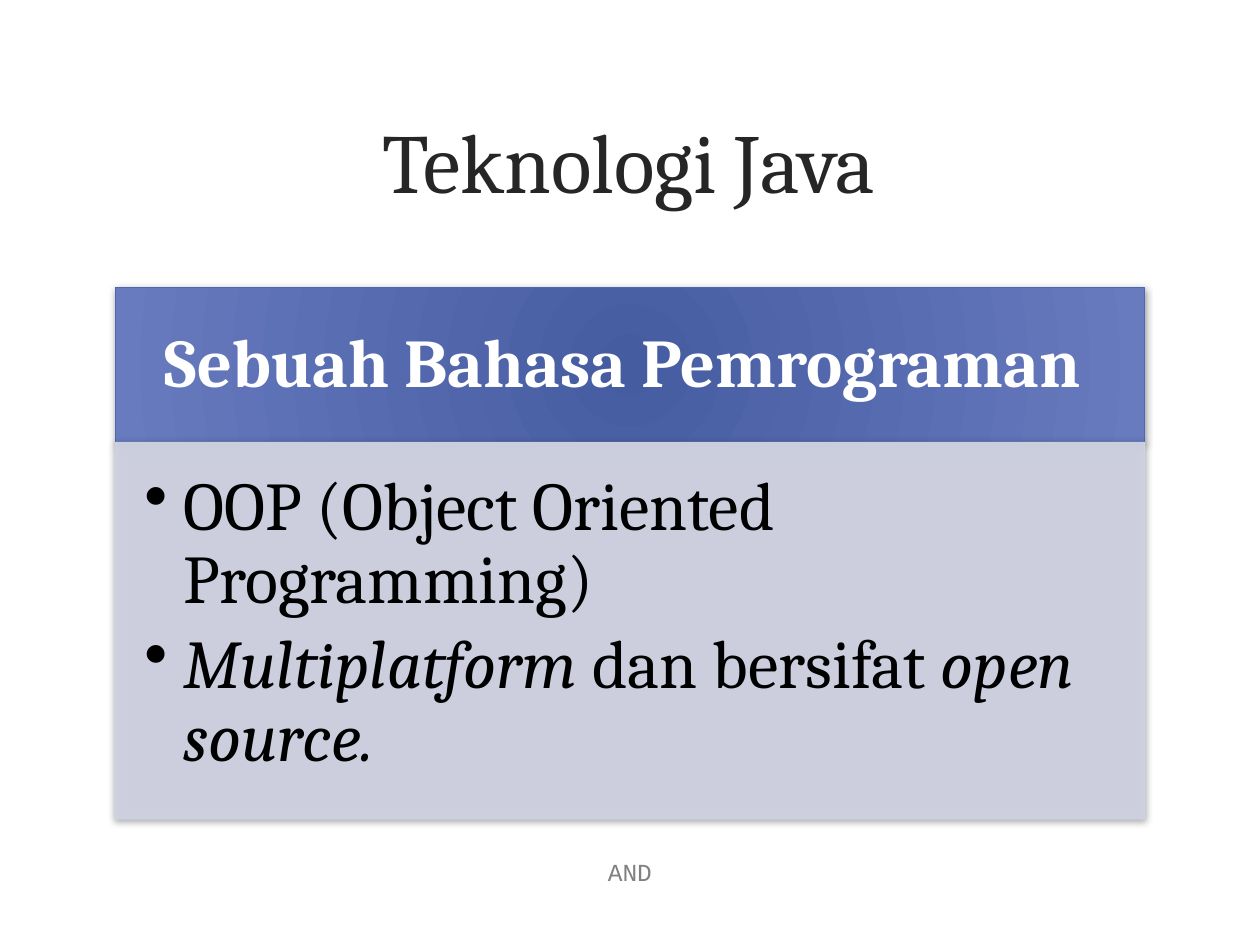
from pptx import Presentation
from pptx.dml.color import RGBColor
from pptx.enum.shapes import MSO_SHAPE as Shape
from pptx.enum.text import MSO_ANCHOR as Anchor, PP_ALIGN as Align
from pptx.oxml import parse_xml
from pptx.oxml.ns import nsdecls, qn
from pptx.util import Cm, Pt

COLORS = {
    "title": "262626", "heading": "FFFFFF", "body": "000000", "footer": "808080",
    "band_center": "465CA1", "band_edge": "687BBF", "band_line": "4E66B2",
    "panel": "D0D3E4", "shadow": "000000",
}
BODY_ALPHA = 90000


def color(name):
    return RGBColor.from_string(COLORS[name])


def drawing_xml(body):
    """Parse one DrawingML element given as '<a:name ...'."""
    name, rest = body.split(" ", 1)
    return parse_xml(f"{name} {nsdecls('a')} {rest}")


def set_frame(frame, anchor, insets):
    """Set anchor and the left, top, right and bottom insets in cm."""
    frame.word_wrap = True
    frame.vertical_anchor = anchor
    (frame.margin_left, frame.margin_top,
     frame.margin_right, frame.margin_bottom) = map(Cm, insets)


def write(paragraph, *parts, size, ink, font="Cambria", align=Align.CENTER,
          bold=False, spacing=1.0, after=0):
    """Write (text, italic) parts into a paragraph."""
    paragraph.alignment = align
    paragraph.line_spacing = spacing
    paragraph.space_before = Pt(0)
    paragraph.space_after = Pt(after)
    for text, italic in parts:
        run = paragraph.add_run()
        run.text = text
        run.font.name = font
        run.font.size = Pt(size)
        run.font.bold = bold
        run.font.italic = italic
        run.font.color.rgb = color(ink)


def add_bullet(paragraph, indent):
    properties = paragraph._p.get_or_add_pPr()
    properties.set("marL", str(indent))
    properties.set("indent", str(-indent))
    properties.append(drawing_xml('<a:buChar char="•"/>'))


def add_panel(slide, box, line):
    """Add a rectangle with a thin line and a soft shadow below it."""
    shape = slide.shapes.add_shape(Shape.RECTANGLE, *map(Cm, box))
    shape.line.color.rgb = color(line)
    shape.line.width = Pt(0.75)
    shape.shadow.inherit = False
    shape.element.spPr.find(qn("a:effectLst")).append(drawing_xml(
        f'<a:outerShdw blurRad="{Pt(4)}" dist="{Pt(1)}" dir="5400000" rotWithShape="0">'
        f'<a:srgbClr val="{COLORS["shadow"]}"><a:alpha val="37000"/></a:srgbClr>'
        '</a:outerShdw>'))
    return shape


def add_title(slide, box, text):
    title = slide.shapes.title
    title.left, title.top, title.width, title.height = map(Cm, box)
    set_frame(title.text_frame, Anchor.MIDDLE, (0.25, 0.13, 0.25, 0.13))
    write(title.text_frame.paragraphs[0], (text, False), size=48, ink="title")


def add_heading_band(slide, box, text):
    band = add_panel(slide, box, "band_line")
    band.fill.gradient()
    for stop, name in zip(band.fill.gradient_stops, ("band_center", "band_edge")):
        stop.color.rgb = color(name)
    gradient = band.element.spPr.find(qn("a:gradFill"))
    gradient.replace(gradient.find(qn("a:lin")), drawing_xml(
        '<a:path path="circle">'
        '<a:fillToRect l="40000" t="100000" r="40000" b="100000"/></a:path>'))
    set_frame(band.text_frame, Anchor.MIDDLE, (0.76, 0.43, 0.76, 0.43))
    write(band.text_frame.paragraphs[0], (text, False),
          size=39, ink="heading", bold=True, spacing=0.9)


def add_bullet_panel(slide, box, items):
    panel = add_panel(slide, box, "panel")
    panel.fill.solid()
    panel.fill.fore_color.rgb = color("panel")
    for fill_color in panel.element.spPr.iter(qn("a:srgbClr")):
        if fill_color.get("val") == COLORS["panel"]:
            fill_color.append(drawing_xml(f'<a:alpha val="{BODY_ALPHA}"/>'))
    frame = panel.text_frame
    set_frame(frame, Anchor.TOP, (0.58, 0.58, 0.76, 0.86))
    for index, parts in enumerate(items):
        paragraph = frame.add_paragraph() if index else frame.paragraphs[0]
        write(paragraph, *parts, size=39, ink="body", align=Align.LEFT,
              spacing=0.9, after=6)
        add_bullet(paragraph, Cm(0.79))


def add_topic(slide, box, heading, items, band_height=3.12):
    """Stack a heading band on a bullet panel inside the box."""
    left, top, width, height = box
    add_heading_band(slide, (left, top, width, band_height), heading)
    add_bullet_panel(
        slide, (left, top + band_height, width, height - band_height), items)


def add_footer(slide, box, text):
    footer = slide.shapes.add_textbox(*map(Cm, box))
    set_frame(footer.text_frame, Anchor.MIDDLE, (0.25, 0.13, 0.25, 0.13))
    write(footer.text_frame.paragraphs[0], (text, False),
          size=14, ink="footer", font="Courier New")


def main():
    presentation = Presentation()
    presentation.slide_width, presentation.slide_height = Cm(25.4), Cm(19.05)
    slide = presentation.slides.add_slide(presentation.slide_layouts[5])
    add_title(slide, (1.52, 1.22, 22.33, 4.01), "Teknologi Java")
    add_topic(slide, (2.33, 5.8, 20.75, 10.71), "Sebuah Bahasa Pemrograman ", [
        [("OOP (Object Oriented Programming)", False)],
        [("Multiplatform ", True), ("dan bersifat", False), (" open source.", True)],
    ])
    add_footer(slide, (8.68, 17.07, 8.04, 1.01), "AND")
    presentation.save("out.pptx")


if __name__ == "__main__":
    main()
